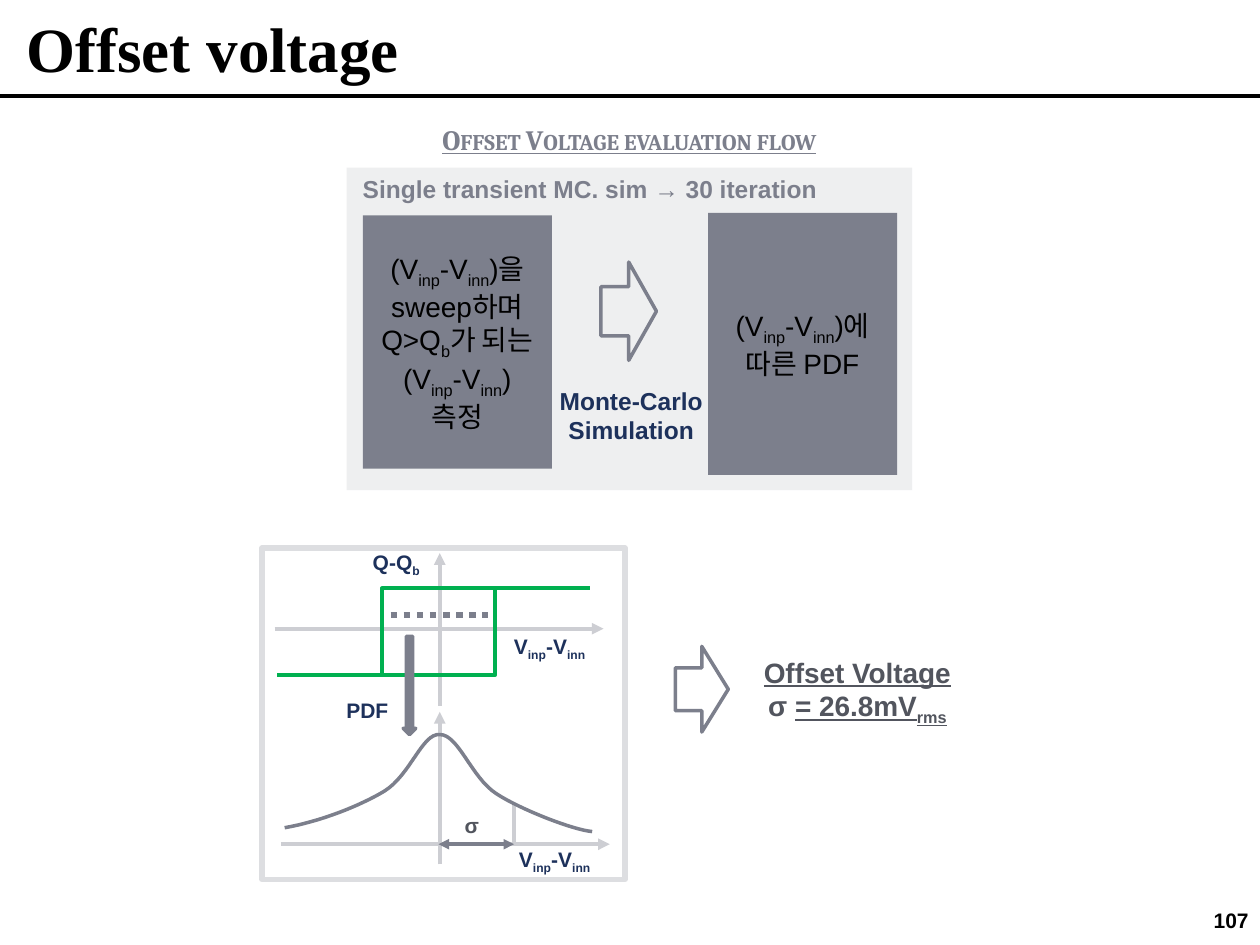
from lxml import etree
from pptx import Presentation
from pptx import util as u
from pptx.dml.color import RGBColor
from pptx.enum import dml, shapes, text
from pptx.oxml import ns

BLACK = RGBColor(0x00, 0x00, 0x00)
GREY = RGBColor(0x7C, 0x7F, 0x8C)
DARK = RGBColor(0x52, 0x55, 0x5E)
NAVY = RGBColor(0x1D, 0x31, 0x5B)
PALE = RGBColor(0xEE, 0xEF, 0xF0)
FRAME = RGBColor(0xDD, 0xDE, 0xE1)
AXIS = RGBColor(0xCD, 0xCE, 0xD3)
GREEN = RGBColor(0x00, 0xB0, 0x50)
LEFT, MID, RIGHT = text.PP_ALIGN.LEFT, text.PP_ALIGN.CENTER, text.PP_ALIGN.RIGHT
KIND = shapes.MSO_SHAPE
INPUT = "V|inp|-V|inn"


def write(frame, lines, size, color, bold=True, align=LEFT, font="Arial"):
    """Fill a frame with lines in which every second piece between bars is subscript."""
    for i, line in enumerate(lines):
        para = frame.paragraphs[0] if i == 0 else frame.add_paragraph()
        para.alignment = align
        for j, piece in enumerate(line.split("|")):
            run = para.add_run()
            run.text = piece
            run.font.name, run.font.size = font, u.Pt(size)
            run.font.bold = bold
            run.font.color.rgb = color
            if j % 2:
                run.font._element.set("baseline", "-25000")


def label(slide, box, lines, size, color, **style):
    """Add a wrapped text box and return its frame."""
    frame = slide.shapes.add_textbox(*map(u.Inches, box)).text_frame
    frame.word_wrap = True
    write(frame, lines, size, color, **style)
    return frame


def paint(item, fill=None, line=None, width=2):
    """Set fill and outline of a shape and drop its shadow."""
    item.shadow.inherit = False
    if fill is None:
        item.fill.background()
    else:
        item.fill.solid()
        item.fill.fore_color.rgb = fill
    if line is None:
        item.line.fill.background()
    else:
        item.line.color.rgb = line
        item.line.width = u.Pt(width)


def block(slide, kind, box, **look):
    """Add a painted preset shape."""
    item = slide.shapes.add_shape(kind, *map(u.Inches, box))
    paint(item, **look)
    return item


def arrow(slide, box):
    """Add a hollow block arrow that points right."""
    block(slide, KIND.DOWN_ARROW, box, line=GREY).rotation = 270


def link(slide, ends, color, width, tips=(), bend=None):
    """Add a straight line, or an elbow when bend is given, with arrow tips."""
    kinds = shapes.MSO_CONNECTOR
    kind = kinds.STRAIGHT if bend is None else kinds.ELBOW
    item = slide.shapes.add_connector(kind, *map(u.Inches, ends))
    item.line.color.rgb = color
    item.line.width = u.Pt(width)
    props = item._element.spPr
    for tip in tips:
        etree.SubElement(props.find(ns.qn("a:ln")), ns.qn(f"a:{tip}"), type="triangle")
    if bend is not None:
        guides = props.find(ns.qn("a:prstGeom")).find(ns.qn("a:avLst"))
        etree.SubElement(guides, ns.qn("a:gd"), name="adj1", fmla=f"val {round(bend * 100000)}")
    etree.SubElement(props, ns.qn("a:effectLst"))
    return item


def bell(slide):
    """Draw the density curve from Bezier pieces."""
    start = (2.26, 6.57)
    knots = [
        ((2.54, 6.52), (2.85, 6.4), (3.05, 6.28)),
        ((3.26, 6.15), (3.35, 5.82), (3.49, 5.83)),
        ((3.64, 5.83), (3.74, 6.17), (3.94, 6.3)),
        ((4.14, 6.43), (4.56, 6.59), (4.7, 6.6)),
    ]
    steps, dots, last = 16, [], start
    for one, two, end in knots:
        for t in (k / steps for k in range(1, steps + 1)):
            s = 1 - t
            dots.append([u.Inches(s**3 * a + 3 * s * s * t * b + 3 * s * t * t * c + t**3 * d)
                         for a, b, c, d in zip(last, one, two, end)])
        last = end
    path = slide.shapes.build_freeform(*map(u.Inches, start))
    path.add_line_segments(dots, close=False)
    paint(path.convert_to_shape(), line=GREY)


def head(slide):
    """Place title, rule and page number."""
    title = slide.shapes.title
    title.left, title.top, title.width, title.height = map(u.Inches, (0.12, 0, 9.74, 0.75))
    frame = title.text_frame
    frame.margin_left = frame.margin_right = u.Inches(0.09)
    frame.margin_top = frame.margin_bottom = u.Inches(0.04)
    frame.vertical_anchor = text.MSO_ANCHOR.MIDDLE
    write(frame, ["Offset voltage"], 36, BLACK, font="Times New Roman")
    link(slide, (0, 0.76, 10, 0.76), BLACK, 2)
    page = label(slide, (9.17, 7.2, 0.83, 0.26), ["107"], 12, BLACK, align=RIGHT)
    page.margin_top = page.margin_bottom = u.Inches(0.04)
    page.margin_left = page.margin_right = u.Inches(0.09)
    page.paragraphs[0].line_spacing = 0.8


def flow(slide):
    """Draw the evaluation flow panel."""
    name = label(slide, (2.75, 0.92, 4.49, 0.37), ["Offset Voltage evaluation flow"],
                 16, GREY, align=MID, font="Cambria")
    font = name.paragraphs[0].runs[0].font
    font.underline = True
    font._element.set("cap", "small")
    block(slide, KIND.RECTANGLE, (2.75, 1.33, 4.49, 2.56), fill=PALE)
    label(slide, (2.78, 1.33, 4.21, 0.32),
          ["Single transient MC. sim → 30 iteration"], 14, GREY)
    steps = [
        ((2.88, 1.71, 1.5, 2.01), [f"({INPUT}|)을 sweep하며", f"Q>Q|b|가 되는 ({INPUT}|) 측정"]),
        ((5.62, 1.69, 1.5, 2.08), [f"({INPUT}|)에", "따른 PDF"]),
    ]
    for box, lines in steps:
        frame = block(slide, KIND.RECTANGLE, box, fill=GREY).text_frame
        frame.vertical_anchor = text.MSO_ANCHOR.MIDDLE
        write(frame, lines, 16, BLACK, bold=False, align=MID)
    arrow(slide, (4.6, 2.25, 0.78, 0.44))
    note = label(slide, (4.34, 2.82, 1.34, 0.76), ["Monte-Carlo", "Simulation"],
                 14, NAVY, align=MID)
    note.word_wrap = False
    note.vertical_anchor = text.MSO_ANCHOR.BOTTOM


def plot(slide):
    """Draw the hysteresis and density plots."""
    tail = ("tailEnd",)
    for ends in ((2.18, 4.99, 4.79, 4.99), (3.49, 5.6, 3.49, 4.39)):
        link(slide, ends, AXIS, 2.25, tail)
    link(slide, (2.2, 5.36, 4.68, 4.67), GREEN, 2.25, bend=0.335)
    block(slide, KIND.RECTANGLE, (2.08, 4.35, 2.88, 2.63), line=FRAME, width=3.25)
    dots = link(slide, (3.1, 4.88, 3.87, 4.88), GREY, 3.75)
    dots.line.dash_style = dml.MSO_LINE.ROUND_DOT
    link(slide, (2.97, 5.36, 4.68, 4.67), GREEN, 2.25, bend=0.56)
    block(slide, KIND.DOWN_ARROW, (3.2, 5.05, 0.1, 0.78), fill=GREY, line=GREY)
    for ends in ((2.23, 6.7, 4.84, 6.7), (3.49, 6.86, 3.49, 5.65)):
        link(slide, ends, AXIS, 2.25, tail)
    link(slide, (4.08, 6.37, 4.08, 6.69), AXIS, 2)
    bell(slide)
    link(slide, (3.48, 6.7, 4.08, 6.7), GREY, 2, ("headEnd", "tailEnd"))
    for x, y, wide, word, color in (
        (3.98, 4.98, 1.02, INPUT, NAVY),
        (2.86, 4.31, 0.69, "Q-Q|b", NAVY),
        (2.65, 5.49, 0.69, "PDF", NAVY),
        (4.02, 6.67, 1.02, INPUT, NAVY),
        (3.59, 6.4, 0.46, "σ", DARK),
    ):
        label(slide, (x, y, wide, 0.3), [word], 12, color)


def result(slide):
    """Show the resulting offset voltage."""
    arrow(slide, (5.23, 5.26, 0.68, 0.42))
    frame = label(slide, (4.8, 5.15, 3.51, 0.64),
                  ["Offset Voltage", "σ ||= 26.8mV|rms"], 16, DARK, align=MID)
    for para in frame.paragraphs:
        para.level = 1
        for run in para.runs:
            run.font.underline = run.text != "σ "


def main():
    """Build and save the slide."""
    deck = Presentation()
    deck.slide_width, deck.slide_height = u.Inches(10), u.Inches(7.5)
    slide = deck.slides.add_slide(deck.slide_layouts[5])
    for part in (head, flow, plot, result):
        part(slide)
    deck.save("out.pptx")


if __name__ == "__main__":
    main()
